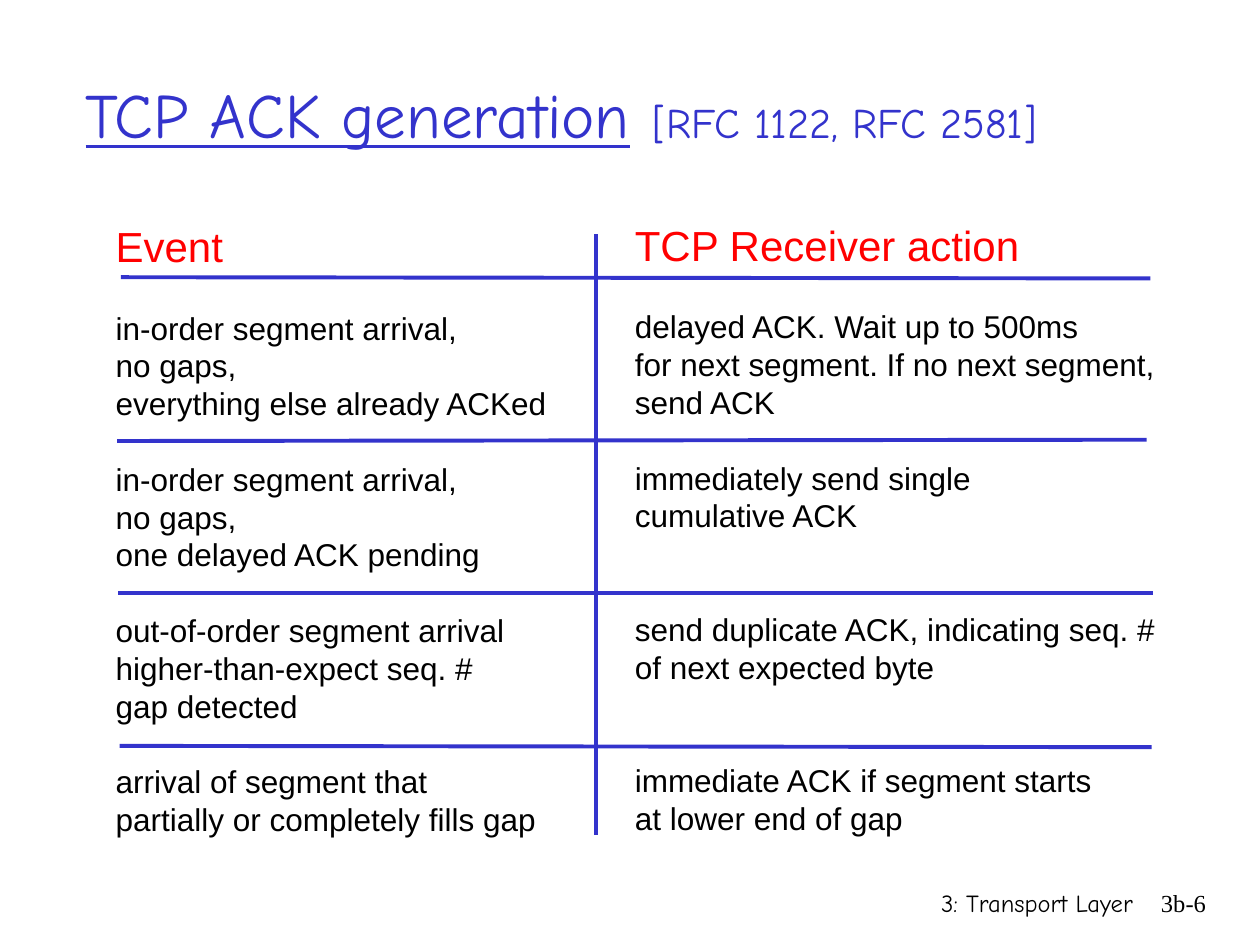
"""Build the TCP ACK generation slide."""
from lxml import etree
from pptx import Presentation
from pptx import util as u
from pptx.dml.color import RGBColor
from pptx.enum import shapes, text
from pptx.oxml.ns import qn

COLORS = {"blue": "3333CC", "red": "FF0000", "black": "000000"}

TITLE_BOX = (0.58, 0.25, 8.5, 1.25)
TITLE_RUNS = [
    ("TCP ACK generation", {"size": u.Pt(36), "underline": True}),
    (" ", {"size": u.Pt(40)}),
    ("[RFC 1122, RFC 2581]", {"size": u.Pt(24)}),
]
COLUMNS = [
    ((0.82, 1.7, 3.63, 5.6), "Event", [
        ["in-order segment arrival,", "no gaps,", "everything else already ACKed"],
        ["in-order segment arrival,", "no gaps,", "one delayed ACK pending"],
        ["out-of-order segment arrival", "higher-than-expect seq. #", "gap detected"],
        ["arrival of segment that", "partially or completely fills gap"],
    ]),
    ((4.94, 1.69, 4.34, 5.6), "TCP Receiver action", [
        ["delayed ACK. Wait up to 500ms", "for next segment. If no next segment,", "send ACK"],
        ["immediately send single", "cumulative ACK"],
        ["send duplicate ACK, indicating seq. #", "of next expected byte"],
        ["immediate ACK if segment starts", "at lower end of gap"],
    ]),
]
RULES = [
    (0.96, 2.2, 9.13, 2.21),
    (0.93, 3.5, 9.1, 3.49),
    (0.94, 4.71, 9.15, 4.71),
    (0.95, 5.92, 9.14, 5.93),
    (4.73, 1.86, 4.73, 6.63),
]
FOOTERS = [
    ((5.92, 7, 3.17, 0.5), "3: Transport Layer", "Comic Neue"),
    ((8.93, 7, 0.74, 0.5), "3b-6", "Times New Roman"),
]
HEADING_SIZE, BODY_SIZE, FOOTER_SIZE = 24, 18, 14
LINE_FACTOR = 1.2
LINES_PER_ROW = 4


def inches(values):
    return [u.Inches(value) for value in values]


def assign(target, values):
    for name, value in values.items():
        setattr(target, name, value)


def add_run(paragraph, words, color, **font):
    run = paragraph.add_run()
    run.text = words
    assign(run.font, font)
    run.font.color.rgb = RGBColor.from_string(COLORS[color])


def add_title(slide):
    title = slide.shapes.title
    assign(title, dict(zip(("left", "top", "width", "height"), inches(TITLE_BOX))))
    assign(title.text_frame, {
        "vertical_anchor": text.MSO_ANCHOR.MIDDLE,
        "auto_size": text.MSO_AUTO_SIZE.NONE,
        "word_wrap": True,
    })
    heading = title.text_frame.paragraphs[0]
    heading.alignment = text.PP_ALIGN.LEFT
    for words, font in TITLE_RUNS:
        add_run(heading, words, "blue", name="Comic Neue", **font)


def add_column(slide, box, heading, rows):
    frame = slide.shapes.add_textbox(*inches(box)).text_frame
    frame.word_wrap = False
    lines = [(heading, HEADING_SIZE, "red", 0)]
    gap = 1
    for row in rows:
        for index, words in enumerate(row):
            lines.append((words, BODY_SIZE, "black", 0 if index else gap))
        gap = LINES_PER_ROW - len(row)
    for index, (words, size, color, gap_lines) in enumerate(lines):
        line = frame.add_paragraph() if index else frame.paragraphs[0]
        assign(line, {
            "line_spacing": u.Pt(size * LINE_FACTOR),
            "space_before": u.Pt(gap_lines * BODY_SIZE * LINE_FACTOR),
        })
        add_run(line, words, color, name="Arial", size=u.Pt(size))


def add_rule(slide, ends):
    rule = slide.shapes.add_connector(shapes.MSO_CONNECTOR.STRAIGHT, *inches(ends))
    rule.line.width = u.Pt(2.25)
    rule.line.color.rgb = RGBColor.from_string(COLORS["blue"])
    etree.SubElement(rule._element.spPr, qn("a:effectLst"))


def add_footer(slide, box, words, face):
    frame = slide.shapes.add_textbox(*inches(box)).text_frame
    frame.word_wrap = True
    footer = frame.paragraphs[0]
    footer.alignment = text.PP_ALIGN.RIGHT
    add_run(footer, words, "black", name=face, size=u.Pt(FOOTER_SIZE))


def main():
    deck = Presentation()
    assign(deck, {"slide_width": u.Inches(10), "slide_height": u.Inches(7.5)})
    slide = deck.slides.add_slide(deck.slide_layouts.get_by_name("Title Only"))
    add_title(slide)
    for footer in FOOTERS:
        add_footer(slide, *footer)
    for column in COLUMNS:
        add_column(slide, *column)
    for ends in RULES:
        add_rule(slide, ends)
    deck.save("out.pptx")


if __name__ == "__main__":
    main()
